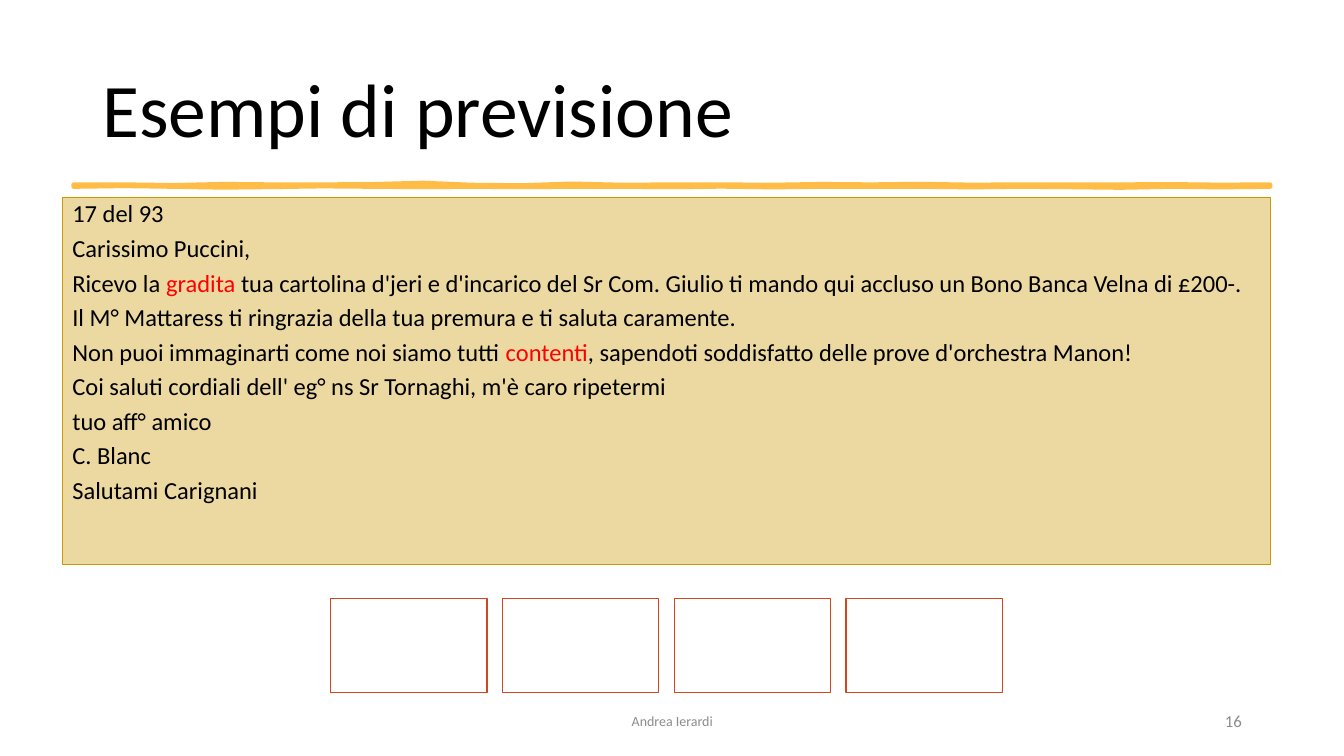
from pptx import Presentation
from pptx import util as u
from pptx.dml.color import RGBColor
from pptx.enum import shapes, text
from pptx.oxml import parse_xml
from pptx.oxml.ns import nsdecls

Pt = u.Pt


class Theme:
    font = "Calibri"
    black, red, grey, white = "000000", "FF0000", "8C8C8C", "FFFFFF"
    ochre, amber, rust = "CC9900", "FFBD47", "D3451F"
    title, letter, number, footer = 54, 17.5, 12, 10


def paint(sp, fill, line, weight):
    sp.shadow.inherit = False
    sp.fill.solid()
    sp.fill.fore_color.rgb = RGBColor.from_string(fill)
    sp.line.color.rgb = RGBColor.from_string(line)
    sp.line.width = Pt(weight)


def write(content, *, box, size, color=Theme.black, align=text.PP_ALIGN.LEFT,
          anchor=text.MSO_ANCHOR.MIDDLE, spacing=1.0, before=0):
    tf = s.shapes.add_textbox(*map(Pt, box)).text_frame
    tf.word_wrap = True
    tf.vertical_anchor = anchor
    for i, line in enumerate(content.split("\n")):
        p = tf.add_paragraph() if i else tf.paragraphs[0]
        p.alignment, p.line_spacing, p.space_before = align, spacing, Pt(before)
        for j, part in enumerate(line.split("*")):
            r = p.add_run()
            r.text = part
            r.font.name, r.font.size = Theme.font, Pt(size)
            r.font.color.rgb = RGBColor.from_string(Theme.red if j % 2 else color)


prs = Presentation()
prs.slide_width, prs.slide_height = Pt(960), Pt(540)
s = prs.slides.add_slide(prs.slide_layouts[6])

panel = s.shapes.add_shape(shapes.MSO_SHAPE.RECTANGLE, Pt(44.6), Pt(141.1), Pt(862.6), Pt(262.1))
paint(panel, Theme.ochre, Theme.ochre, 0.5)
panel.fill._xPr.find(".//{*}solidFill/{*}srgbClr").append(
    parse_xml(f'<a:alpha {nsdecls("a")} val="37000"/>'))

write("Esempi di previsione", box=(66.2, 28.8, 828, 104.4), size=Theme.title, spacing=0.9)

upper = [0, 0, 0.5, -0.3, 0, 0, -0.2, -1.2, 0.3, 0.6, -0.6, 0.3, 0,
         0, 0.3, -0.3, 0, -0.4, 0.2, 0, 0.1, 0, -0.2, 0.2, 0]
lower = [0, -0.5, 0, 0.6, 0.2, -0.3, 0, 0.3, 0, 0.3, 0, 0, 0.3,
         -0.1, 0.4, 0, 0, 0, 0.4, 0, 0.3, 0.7, 0, 0.4, 0]
left, step = 52.6, 35.61
top_edge = [(Pt(left + i * step), Pt(131.9 + dy)) for i, dy in enumerate(upper)]
bottom_edge = [(Pt(left + i * step), Pt(133.3 + dy)) for i, dy in enumerate(lower)]
brush = s.shapes.build_freeform(*top_edge[0])
brush.add_line_segments(top_edge[1:] + bottom_edge[::-1], close=True)
paint(brush.convert_to_shape(), Theme.amber, Theme.amber, 3.25)

write("Andrea Ierardi", box=(318.2, 500.4, 324, 28.8), size=Theme.footer,
      color=Theme.grey, align=text.PP_ALIGN.CENTER)
write("16", box=(678.2, 500.4, 216, 28.8), size=Theme.number,
      color=Theme.grey, align=text.PP_ALIGN.RIGHT)

letter = """17 del 93
Carissimo Puccini,
Ricevo la *gradita* tua cartolina d'jeri e d'incarico del Sr Com. Giulio ti mando qui accluso un Bono Banca Velna di £200-.
Il M° Mattaress ti ringrazia della tua premura e ti saluta caramente.
Non puoi immaginarti come noi siamo tutti *contenti*, sapendoti soddisfatto delle prove d'orchestra Manon!
Coi saluti cordiali dell' eg° ns Sr Tornaghi, m'è caro ripetermi
tuo aff° amico
C. Blanc
Salutami Carignani"""
write(letter, box=(44.6, 144, 862.6, 271.4), size=Theme.letter,
      anchor=text.MSO_ANCHOR.TOP, spacing=0.7, before=10)

frames = s.shapes.add_group_shape()
for i in range(4):
    frame = frames.shapes.add_shape(shapes.MSO_SHAPE.RECTANGLE,
                                    Pt(236.2 + i * 122.7), Pt(427.7), Pt(111.6), Pt(67))
    paint(frame, Theme.white, Theme.rust, 1)

prs.save("out.pptx")
